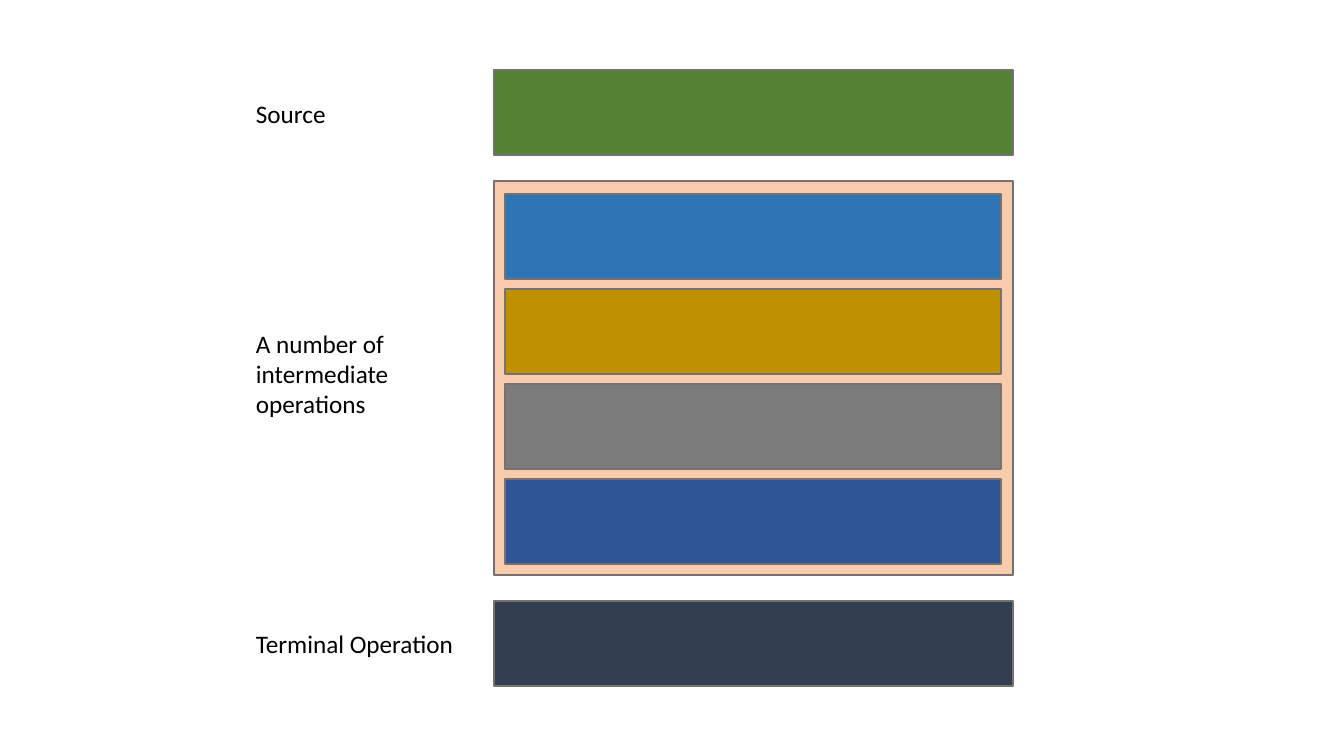
import pptx
import pptx.util
import pptx.dml.color
import pptx.enum.shapes
import pptx.enum.text

PX = 914400 / 100.8

HUES = {
    "source": "548235",
    "group": "F8CBAD",
    "end": "333F50",
    "steps": ["2E75B6", "BF9000", "7C7C7C", "2F5597"],
    "line": "767171",
    "text": "000000",
}


def px(*sizes):
    return [pptx.util.Emu(round(size * PX)) for size in sizes]


def color(code):
    return pptx.dml.color.RGBColor.from_string(code)


def add_bar(slide, left, top, width, height, fill):
    kind = pptx.enum.shapes.MSO_SHAPE.RECTANGLE
    bar = slide.shapes.add_shape(kind, *px(left, top, width, height))
    bar.shadow.inherit = False
    bar.fill.solid()
    bar.fill.fore_color.rgb = color(fill)
    bar.line.color.rgb = color(HUES["line"])
    bar.line.width = pptx.util.Pt(1)


def add_label(slide, top, width, height, text, wrap=False):
    box = slide.shapes.add_textbox(*px(246, top, width, height))
    frame = box.text_frame
    frame.text = text
    frame.word_wrap = wrap
    frame.auto_size = pptx.enum.text.MSO_AUTO_SIZE.SHAPE_TO_FIT_TEXT
    font = frame.paragraphs[0].runs[0].font
    font.name = "Calibri"
    font.size = pptx.util.Pt(18)
    font.color.rgb = color(HUES["text"])


def main():
    deck = pptx.Presentation()
    deck.slide_width, deck.slide_height = px(1344, 756)
    slide = deck.slides.add_slide(deck.slide_layouts[6])

    for name, top, height in [("source", 70, 85), ("group", 181, 394), ("end", 601, 85)]:
        add_bar(slide, 494, top, 519, height, HUES[name])
    for index, fill in enumerate(HUES["steps"]):
        add_bar(slide, 505, 194 + index * 95, 496, 85, fill)

    add_label(slide, 93, 91, 40, "Source")
    add_label(slide, 323, 170, 102, "A number of intermediate operations", wrap=True)
    add_label(slide, 623, 220, 40, "Terminal Operation")

    deck.save("out.pptx")


if __name__ == "__main__":
    main()
